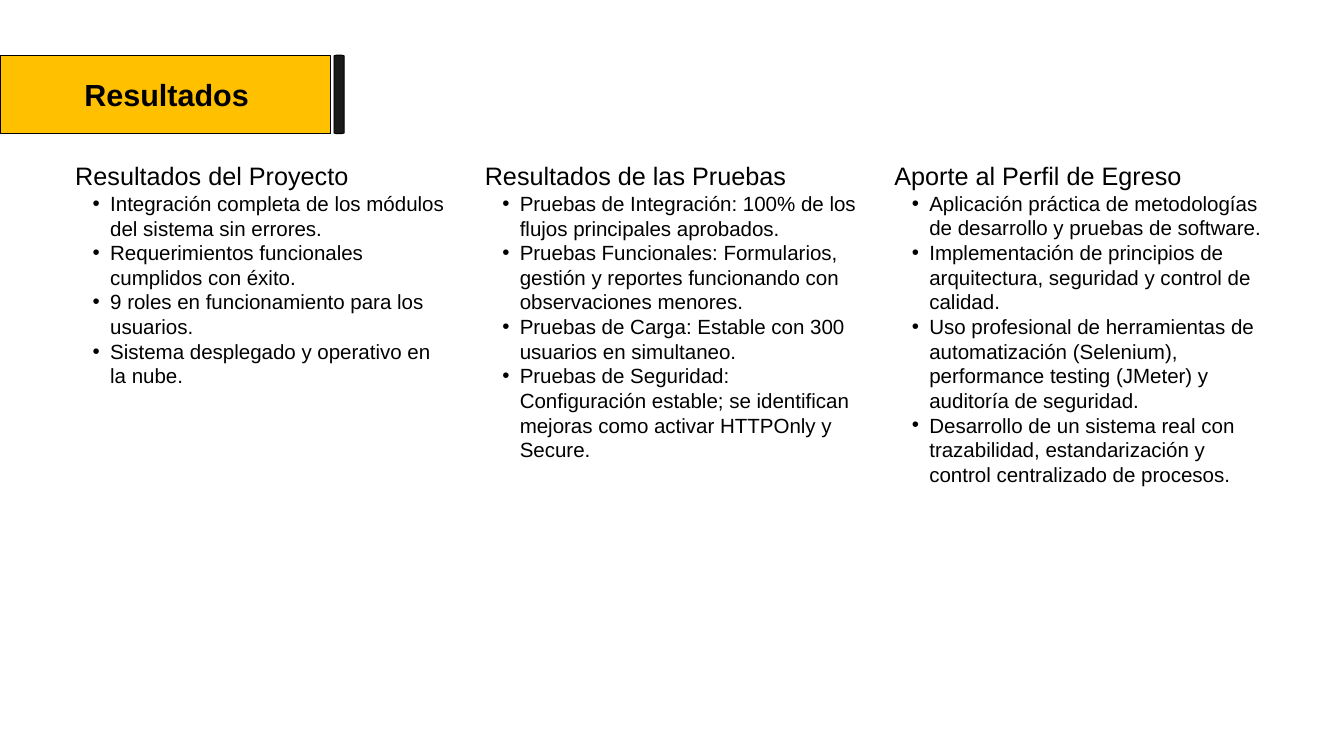
from lxml import etree
from pptx import Presentation
from pptx import util as u
from pptx.dml.color import RGBColor
from pptx.enum import text
from pptx.oxml.ns import qn


def color(hex_value):
    return RGBColor.from_string(hex_value)


class SlideBuilder:
    FONT = "Arial"
    BLACK = "000000"
    AMBER = "FFC000"
    CHARCOAL = "1A1A1A"
    TITLE_SIZE, HEADING_SIZE, BULLET_SIZE = 32.7, 27, 22
    LINE_RATIO = 1.2
    BULLET_INDENT = 0.26

    def __init__(self, slide):
        self.slide = slide

    def polygon(self, points, fill):
        corners = [(u.Inches(x), u.Inches(y)) for x, y in points]
        builder = self.slide.shapes.build_freeform(*corners[0])
        builder.add_line_segments(corners[1:], close=True)
        shape = builder.convert_to_shape()
        shape.shadow.inherit = False
        shape.fill.solid()
        shape.fill.fore_color.rgb = color(fill)
        shape.line.color.rgb = color(self.BLACK)
        shape.line.width = u.Pt(1)

    def text_box(self, left, top, width, height):
        box = self.slide.shapes.add_textbox(*map(u.Inches, (left, top, width, height)))
        frame = box.text_frame
        frame.word_wrap = True
        frame.margin_left = frame.margin_right = 0
        frame.margin_top = frame.margin_bottom = 0
        return frame

    def format(self, paragraph, size, bold=False):
        paragraph.line_spacing = u.Pt(round(size * self.LINE_RATIO, 1))
        for run in paragraph.runs:
            run.font.name = self.FONT
            run.font.size = u.Pt(size)
            run.font.bold = bold
            run.font.color.rgb = color(self.BLACK)

    def title(self, wording, *place):
        frame = self.text_box(*place)
        frame.vertical_anchor = text.MSO_ANCHOR.MIDDLE
        frame.text = wording
        paragraph = frame.paragraphs[0]
        paragraph.alignment = text.PP_ALIGN.CENTER
        self.format(paragraph, self.TITLE_SIZE, bold=True)

    def bullet(self, paragraph):
        paragraph.level = 1
        properties = paragraph._p.get_or_add_pPr()
        properties.set("marL", str(u.Inches(2 * self.BULLET_INDENT)))
        properties.set("indent", str(-u.Inches(self.BULLET_INDENT)))
        etree.SubElement(properties, qn("a:buFont")).set("typeface", self.FONT)
        etree.SubElement(properties, qn("a:buChar")).set("char", "•")

    def column(self, heading, items, *place):
        frame = self.text_box(*place)
        frame.auto_size = text.MSO_AUTO_SIZE.SHAPE_TO_FIT_TEXT
        frame.text = heading
        self.format(frame.paragraphs[0], self.HEADING_SIZE)
        for item in items:
            paragraph = frame.add_paragraph()
            paragraph.text = item
            self.bullet(paragraph)
            self.format(paragraph, self.BULLET_SIZE)


COLUMNS = [
    ("Resultados del Proyecto", 3.39, [
        "Integración completa de los módulos del sistema sin errores.",
        "Requerimientos funcionales cumplidos con éxito.",
        "9 roles en funcionamiento para los usuarios.",
        "Sistema desplegado y operativo en la nube.",
    ]),
    ("Resultados de las Pruebas", 4.48, [
        "Pruebas de Integración: 100% de los flujos principales aprobados.",
        "Pruebas Funcionales: Formularios, gestión y reportes funcionando con "
        "observaciones menores.",
        "Pruebas de Carga: Estable con 300 usuarios en simultaneo.",
        "Pruebas de Seguridad: Configuración estable; se identifican mejoras "
        "como activar HTTPOnly y Secure.",
    ]),
    ("Aporte al Perfil de Egreso", 4.84, [
        "Aplicación práctica de metodologías de desarrollo y pruebas de software.",
        "Implementación de principios de arquitectura, seguridad y control de calidad.",
        "Uso profesional de herramientas de automatización (Selenium), "
        "performance testing (JMeter) y auditoría de seguridad.",
        "Desarrollo de un sistema real con trazabilidad, estandarización y "
        "control centralizado de procesos.",
    ]),
]


def main():
    presentation = Presentation()
    presentation.slide_width = u.Inches(20)
    presentation.slide_height = u.Inches(11.25)
    builder = SlideBuilder(presentation.slides.add_slide(presentation.slide_layouts[6]))

    # Title banner and its dark end bar with trimmed corners
    top, bottom = 0.82, 1.99
    builder.polygon([(0, top), (4.92, top), (4.92, bottom), (0, bottom)], builder.AMBER)
    left, right, trim_x, trim_y = 4.97, 5.12, 0.04, 0.01
    builder.polygon([
        (left + trim_x, top), (right - trim_x, top),
        (right, top + trim_y), (right, bottom - trim_y),
        (right - trim_x, bottom), (left + trim_x, bottom),
        (left, bottom - trim_y), (left, top + trim_y),
    ], builder.CHARCOAL)
    builder.title("Resultados", 0.32, 0.84, 4.32, 1.13)

    # Three columns of results
    first_left, pitch = 1.12, 6.095
    for index, (heading, height, items) in enumerate(COLUMNS):
        builder.column(heading, items, first_left + index * pitch, 2.39, 5.56, height)

    presentation.save("out.pptx")


if __name__ == "__main__":
    main()
